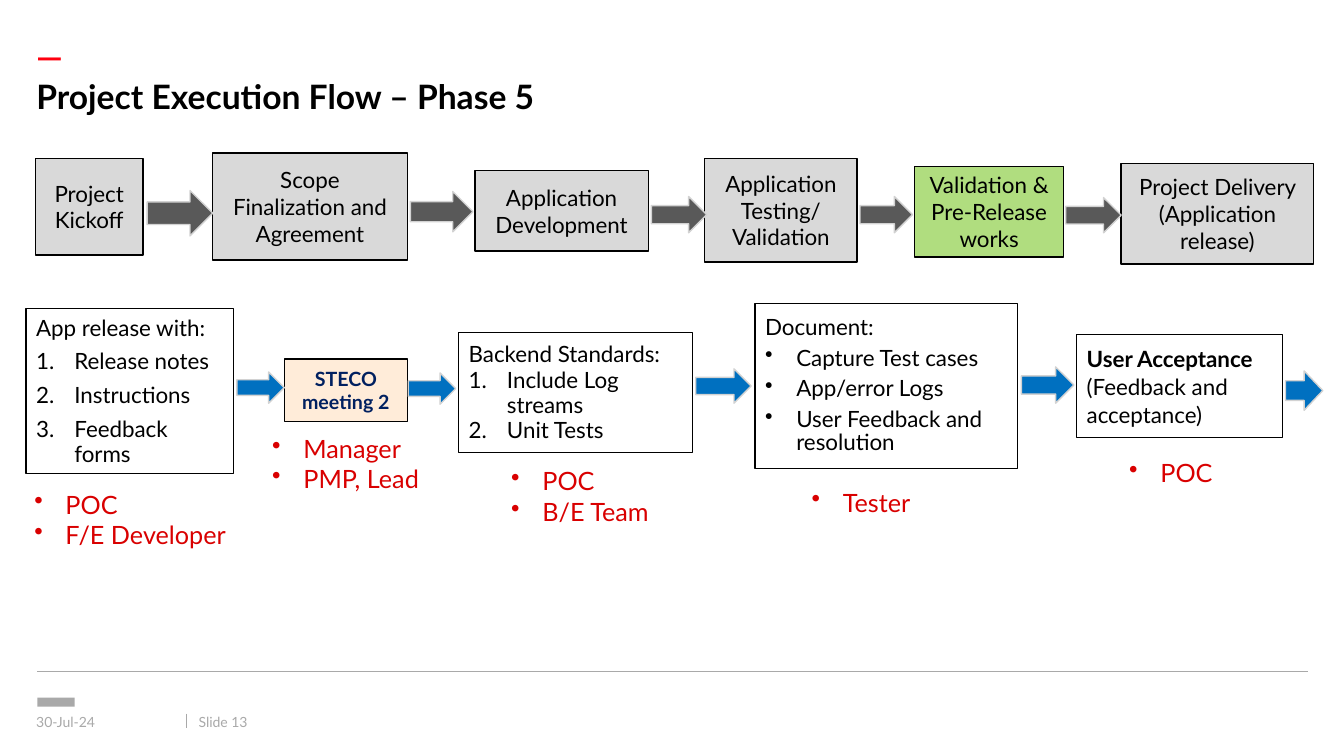
import pptx
import pptx.util
import pptx.dml.color
import pptx.enum.shapes
import pptx.enum.text
import pptx.oxml.ns
import lxml.etree

SCALE = 9144
FONT = "Lato"
BLACK, GREY, RED = "000000", "A9A9A9", "D90000"
SHAPES = pptx.enum.shapes.MSO_SHAPE
ALIGN = pptx.enum.text.PP_ALIGN
ANCHOR = pptx.enum.text.MSO_ANCHOR
Pt = pptx.util.Pt

TITLE = ("Project Execution Flow – Phase 5", (36, 75, 1260, 43))
PHASES = [
    ("Project Kickoff", (35, 157, 107, 96), "D9D9D9"),
    ("Scope Finalization and Agreement", (211, 152, 193, 106), "D9D9D9"),
    ("Application Development", (471, 169, 172, 80), "D9D9D9"),
    ("Application Testing/ Validation", (699, 157, 151, 103), "D9D9D9"),
    ("Validation & Pre-Release works", (907, 165, 148, 90), "B0DD7F"),
    ("Project Delivery (Application release)", (1112, 162, 191, 100), "D9D9D9"),
]
MEETING = ("STECO meeting 2", (282, 356, 122, 62), "FFECD9")
CARDS = [
    ("App release with:", ["Release notes", "Instructions", "Feedback forms"],
     "1.", 38, (26, 306, 206, 164), 18, 6),
    ("Backend Standards:", ["Include Log streams", "Unit Tests"],
     "1.", 38, (455, 330, 232, 119), 18, 0),
    ("Document:", ["Capture Test cases", "App/error Logs", "User Feedback and resolution"],
     "•", 31, (749, 301, 260, 164), 16, 6),
]
ACCEPTANCE = ([("User Acceptance ", True), ("(Feedback and acceptance)", False)],
              (1068, 332, 204, 102))
ARROWS = {
    "595959": [(146, 189, 65, 45), (407, 190, 62, 40), (646, 195, 55, 36),
               (853, 195, 52, 36), (1057, 196, 55, 35)],
    "0070C0": [(235, 369, 47, 31), (405, 370, 47, 31), (690, 366, 55, 34),
               (1013, 364, 52, 36), (1275, 368, 37, 39)],
}
ROLES = [
    (["POC", "F/E Developer"], (26, 477, 222, 92)),
    (["Manager", "PMP, Lead"], (262, 422, 189, 88)),
    (["POC", "B/E Team"], (499, 454, 190, 95)),
    (["Tester"], (797, 475, 154, 58)),
    (["POC"], (1112, 446, 154, 58)),
]
FOOTERS = [("30-Jul-24", (36, 710, 127, 13)), ("Slide 13", (197, 710, 74, 13))]
RULES = [(37, 666, 1297, 666), (185, 708, 185, 722)]
FOOTER_MARK = (37, 692, 37, 9)
ACCENT = ("—", (26, 47, 60, 17))


def px(length):
    return pptx.util.Emu(length * SCALE)


def color(value):
    return pptx.dml.color.RGBColor.from_string(value)


def set_all(target, values):
    for name, value in values.items():
        setattr(target, name, value)


def set_frame(shape, anchor, inset=None):
    frame = shape.text_frame
    values = {"word_wrap": True, "vertical_anchor": anchor,
              "auto_size": pptx.enum.text.MSO_AUTO_SIZE.NONE}
    if inset is not None:
        for side in ("left", "right", "top", "bottom"):
            values["margin_" + side] = px(inset)
    set_all(frame, values)


def add_run(paragraph, text, size, ink, bold=False):
    run = paragraph.add_run()
    run.text = text
    set_all(run.font, {"name": FONT, "size": Pt(size), "bold": bold})
    run.font.color.rgb = color(ink)


def set_marker(paragraph, marker, indent):
    properties = paragraph._p.get_or_add_pPr()
    properties.set("marL", str(px(indent)))
    properties.set("indent", str(-px(indent)))
    if marker == "•":
        tag, values = "a:buChar", {"char": marker}
    else:
        tag, values = "a:buAutoNum", {"type": "arabicPeriod"}
    lxml.etree.SubElement(properties, pptx.oxml.ns.qn(tag), values)


def write(shape, lines, size, ink, bold=False, **layout):
    frame = shape.text_frame
    for index, (text, marker, indent) in enumerate(lines):
        paragraph = frame.add_paragraph() if index else frame.paragraphs[0]
        set_all(paragraph, {"alignment": ALIGN.LEFT, **layout})
        add_run(paragraph, text, size, ink, bold)
        if marker:
            set_marker(paragraph, marker, indent)


def add_shape(slide, kind, box, fill=None, line=None):
    shape = slide.shapes.add_shape(kind, *map(px, box))
    shape.shadow.inherit = False
    if fill:
        shape.fill.solid()
        shape.fill.fore_color.rgb = color(fill)
    else:
        shape.fill.background()
    if line:
        shape.line.color.rgb = color(line)
        shape.line.width = Pt(1)
    else:
        shape.line.fill.background()
    return shape


def add_box(slide, box, fill=None):
    shape = add_shape(slide, SHAPES.RECTANGLE, box, fill, BLACK)
    set_frame(shape, ANCHOR.MIDDLE)
    return shape


def add_label(slide, box, anchor, inset=None):
    label = slide.shapes.add_textbox(*map(px, box))
    set_frame(label, anchor, inset)
    return label


def add_rule(slide, ends):
    rule = slide.shapes.add_connector(pptx.enum.shapes.MSO_CONNECTOR.STRAIGHT, *map(px, ends))
    rule.line.color.rgb = color(GREY)
    rule.line.width = Pt(1)
    lxml.etree.SubElement(rule._element.spPr, pptx.oxml.ns.qn("a:effectLst"))


def add_title(slide):
    text, box = TITLE
    title = slide.shapes.title
    set_all(title, dict(zip(("left", "top", "width", "height"), map(px, box))))
    set_frame(title, ANCHOR.TOP, 0)
    write(title, [(text, None, 0)], 24, BLACK, True)


def add_frame_parts(slide):
    for ends in RULES:
        add_rule(slide, ends)
    add_shape(slide, SHAPES.RECTANGLE, FOOTER_MARK, GREY)
    text, box = ACCENT
    write(add_label(slide, box, ANCHOR.MIDDLE), [(text, None, 0)], 24, "FF000F", True)
    for text, box in FOOTERS:
        write(add_label(slide, box, ANCHOR.MIDDLE, 0), [(text, None, 0)], 10, GREY)


def add_flow(slide):
    centred = {"alignment": ALIGN.CENTER, "space_before": Pt(6)}
    for text, box, fill in PHASES:
        write(add_box(slide, box, fill), [(text, None, 0)], 16, BLACK, **centred)
    text, box, fill = MEETING
    write(add_box(slide, box, fill), [(text, None, 0)], 14, "002060", True, **centred)
    for heading, items, marker, indent, box, spacing, before in CARDS:
        lines = [(heading, None, 0)] + [(item, marker, indent) for item in items]
        write(add_box(slide, box), lines, 16, BLACK,
              line_spacing=Pt(spacing), space_before=Pt(before))
    runs, box = ACCEPTANCE
    paragraph = add_box(slide, box).text_frame.paragraphs[0]
    set_all(paragraph, {"alignment": ALIGN.LEFT, "line_spacing": Pt(20),
                        "space_before": Pt(6), "space_after": Pt(6)})
    for text, bold in runs:
        add_run(paragraph, text, 16, BLACK, bold)
    for fill, boxes in ARROWS.items():
        for box in boxes:
            add_shape(slide, SHAPES.RIGHT_ARROW, box, fill, "D2D2D2")
    for names, box in ROLES:
        lines = [(name, "•", 31) for name in names]
        write(add_label(slide, box, ANCHOR.TOP, 8), lines, 18, RED)


def main():
    presentation = pptx.Presentation()
    set_all(presentation, {"slide_width": px(1333), "slide_height": px(750)})
    slide = presentation.slides.add_slide(presentation.slide_layouts[5])
    add_title(slide)
    add_frame_parts(slide)
    add_flow(slide)
    presentation.save("out.pptx")


if __name__ == "__main__":
    main()
